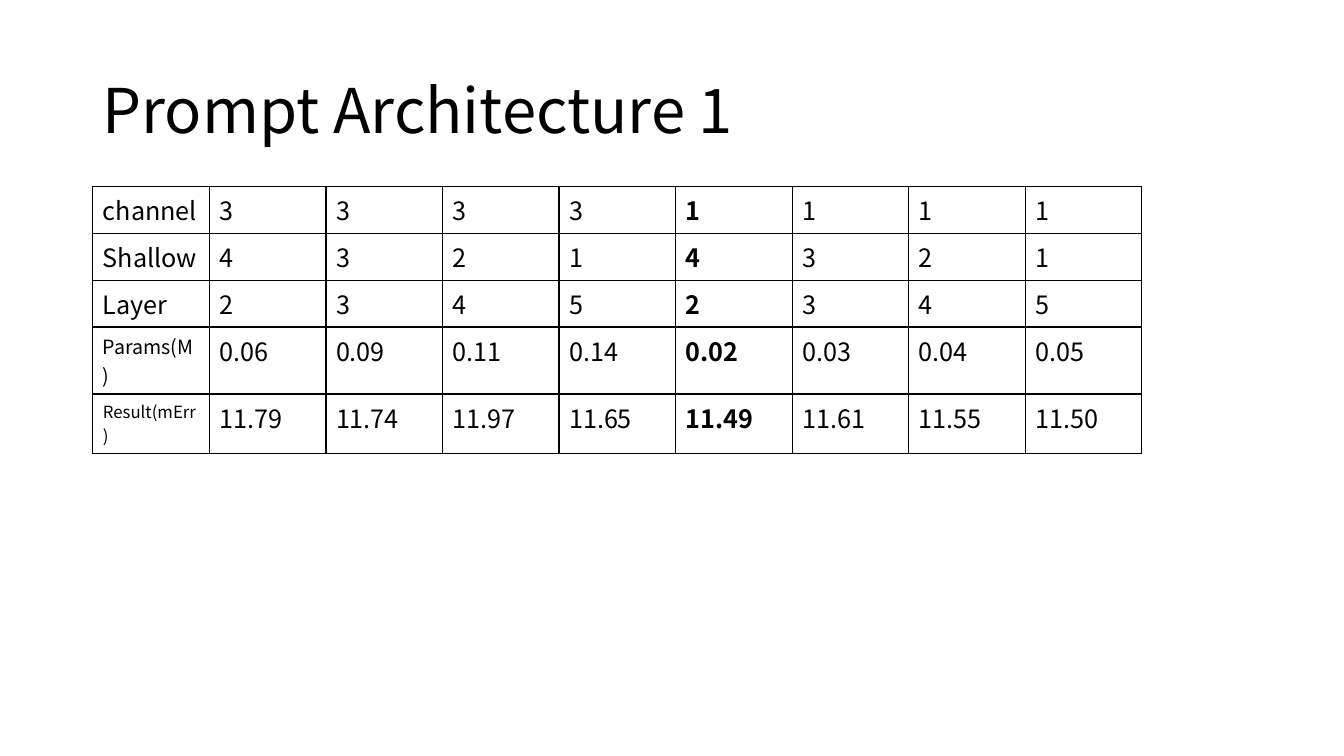
import dataclasses

import lxml.etree
import pptx
import pptx.dml.color
import pptx.enum.text
import pptx.oxml.ns
import pptx.slide
import pptx.table
import pptx.text.text
import pptx.util

FONT = "Noto Sans CJK KR"
BLACK = pptx.dml.color.RGBColor(0, 0, 0)
LEFT = 2.34
TOP = 4.7
WIDTH = 26.44
BEST = 5


@dataclasses.dataclass(frozen=True)
class Row:
    label: str
    size: int
    height: float
    values: tuple[str, ...]


ROWS = [
    Row("channel", 18, 1.18, ("3",) * 4 + ("1",) * 4),
    Row("Shallow", 18, 1.18, ("4", "3", "2", "1") * 2),
    Row("Layer", 18, 1.18, ("2", "3", "4", "5") * 2),
    Row("Params(M)", 14, 1.69,
        ("0.06", "0.09", "0.11", "0.14", "0.02", "0.03", "0.04", "0.05")),
    Row("Result(mErr)", 12, 1.5,
        ("11.79", "11.74", "11.97", "11.65", "11.49", "11.61", "11.55", "11.50")),
]


def style(frame: pptx.text.text.TextFrame, size: int, bold: bool = False) -> None:
    for run in frame.paragraphs[0].runs:
        run.font.name = FONT
        run.font.size = pptx.util.Pt(size)
        run.font.bold = bold
        run.font.color.rgb = BLACK


def border(cell: pptx.table._Cell) -> None:
    props = cell._tc.get_or_add_tcPr()
    name = pptx.oxml.ns.qn
    for side in ("L", "R", "T", "B"):
        line = lxml.etree.SubElement(props, name(f"a:ln{side}"), w=str(pptx.util.Pt(1)))
        fill = lxml.etree.SubElement(line, name("a:solidFill"))
        lxml.etree.SubElement(fill, name("a:srgbClr"), val=str(BLACK))


def add_title(slide: pptx.slide.Slide) -> None:
    box = slide.shapes.add_textbox(
        pptx.util.Cm(LEFT), pptx.util.Cm(1.01), pptx.util.Cm(29.21), pptx.util.Cm(3.68))
    frame = box.text_frame
    frame.word_wrap = True
    frame.vertical_anchor = pptx.enum.text.MSO_ANCHOR.MIDDLE
    frame.text = "Prompt Architecture 1"
    frame.paragraphs[0].line_spacing = 0.9
    style(frame, 44)


def add_grid(slide: pptx.slide.Slide, rows: list[Row]) -> None:
    count = len(rows[0].values) + 1
    table = slide.shapes.add_table(
        len(rows), count, pptx.util.Cm(LEFT), pptx.util.Cm(TOP),
        pptx.util.Cm(WIDTH), pptx.util.Cm(sum(row.height for row in rows))).table
    table.first_row = False
    table.horz_banding = False
    for y, row in enumerate(rows):
        table.rows[y].height = pptx.util.Cm(row.height)
        for x, text in enumerate((row.label, *row.values)):
            cell = table.cell(y, x)
            cell.text_frame.text = text
            style(cell.text_frame, 18 if x else row.size, x == BEST)
            border(cell)
            cell.fill.background()


def main() -> None:
    deck = pptx.Presentation()
    deck.slide_width = pptx.util.Cm(33.87)
    deck.slide_height = pptx.util.Cm(19.05)
    slide = deck.slides.add_slide(deck.slide_layouts[6])
    add_title(slide)
    add_grid(slide, ROWS)
    deck.save("out.pptx")


if __name__ == "__main__":
    main()
